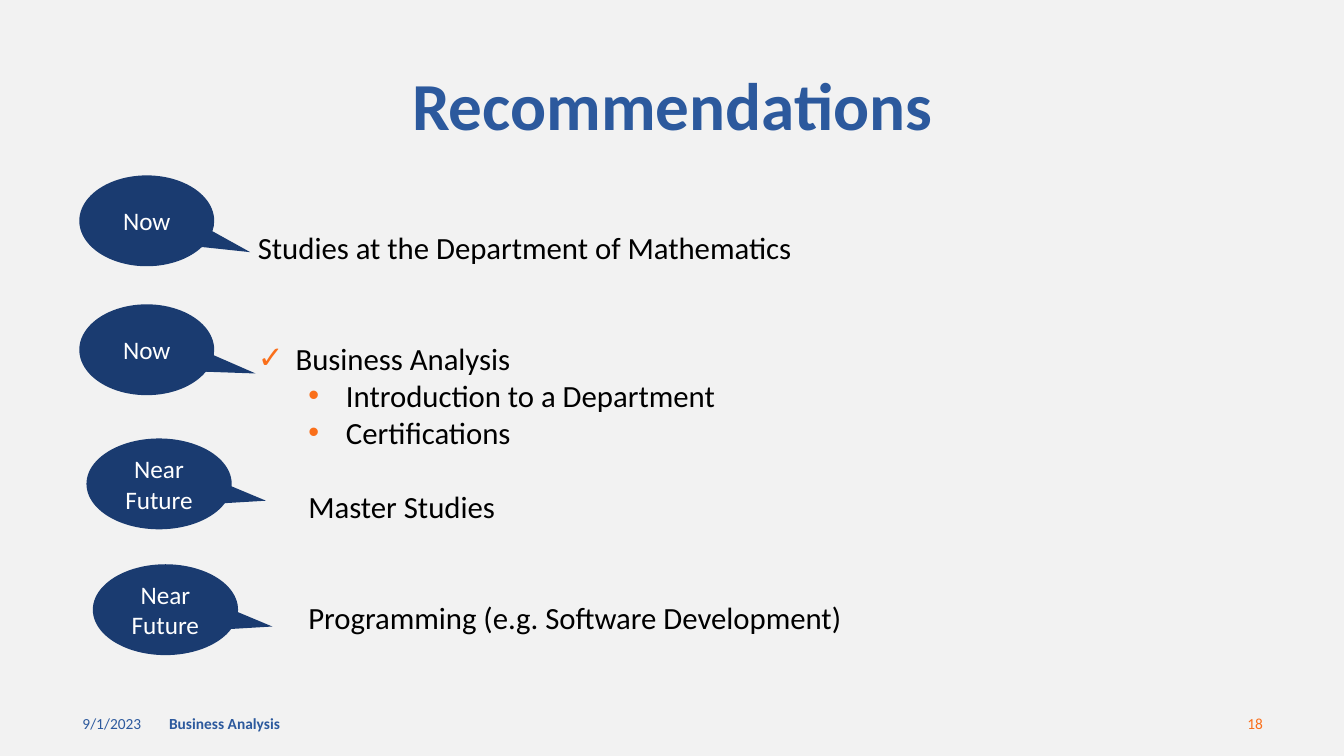
from lxml import etree
from pptx import Presentation
from pptx.dml.color import RGBColor
from pptx.enum.shapes import MSO_SHAPE
from pptx.enum.text import MSO_ANCHOR, PP_ALIGN
from pptx.oxml.ns import qn
from pptx.util import Cm, Pt

LEFT, MID, RIGHT, JUST = PP_ALIGN.LEFT, PP_ALIGN.CENTER, PP_ALIGN.RIGHT, PP_ALIGN.JUSTIFY
TOP, CENTER = MSO_ANCHOR.TOP, MSO_ANCHOR.MIDDLE
BUBBLE = MSO_SHAPE.OVAL_CALLOUT
PAPER = RGBColor(0xF2, 0xF2, 0xF2)
BLUE = RGBColor(0x2C, 0x59, 0x9D)
NAVY = RGBColor(0x1A, 0x3B, 0x70)
ORANGE = RGBColor(0xFA, 0x6F, 0x1A)
BLACK = RGBColor(0, 0, 0)
WHITE = RGBColor(0xFF, 0xFF, 0xFF)
FONT = "Calibri"
LINE = 26.4

TITLE = "Recommendations"
FOOTER = [
    ("9/1/2023", 1.83, 7.62, LEFT, BLUE, False),
    ("Business Analysis", 4.01, 11.43, LEFT, BLUE, True),
    ("18", 24.46, 7.62, RIGHT, ORANGE, False),
]
# text, level, left margin, hanging indent, bullet, lines of space before
ITEMS = [
    ("Studies at the Department of Mathematics", 1, 1.27, 0, None, 0),
    ("Business Analysis", 1, 2.22, -0.95, "✓", 2),
    ("Introduction to a Department", 2, 3.49, -0.95, "•", 0),
    ("Certifications", 2, 3.49, -0.95, "•", 0),
    ("Master Studies", 2, 2.54, 0, None, 1),
    ("Programming (e.g. Software Development)", 2, 2.54, 0, None, 2),
]
CALLS = [
    ("Now", 2, 4.42, 3.4, 0.767, 0.345),
    ("Now", 2, 7.67, 3.4, 0.807, 0.261),
    ("Near Future", 2.18, 11.05, 3.66, 0.736, 0.185),
    ("Near Future", 2.34, 14.22, 3.66, 0.736, 0.185),
]


def write(para, text, size=22, color=BLACK, bold=False, align=LEFT):
    para.alignment = align
    run = para.add_run()
    run.text = text
    font = run.font
    font.name, font.size, font.bold = FONT, Pt(size), bold
    font.color.rgb = color
    return para


def frame(shape, anchor=CENTER):
    body = shape.text_frame
    body.word_wrap = True
    body.vertical_anchor = anchor
    return body


def add_box(x, y, w, h, anchor=CENTER):
    return frame(slide.shapes.add_textbox(Cm(x), Cm(y), Cm(w), Cm(h)), anchor)


def indent(para, left, hang, mark):
    props = para._p.get_or_add_pPr()
    props.set("marL", str(Cm(left)))
    props.set("indent", str(Cm(hang)))
    if mark:
        tint = etree.SubElement(props, qn("a:buClr"))
        etree.SubElement(tint, qn("a:srgbClr"), val=str(ORANGE))
        etree.SubElement(props, qn("a:buFont"), typeface="Arial")
        etree.SubElement(props, qn("a:buChar"), char=mark)


deck = Presentation()
deck.slide_width, deck.slide_height = Cm(33.87), Cm(19.05)
slide = deck.slides.add_slide(deck.slide_layouts[6])
slide.background.fill.solid()
slide.background.fill.fore_color.rgb = PAPER

for text, x, w, align, color, bold in FOOTER:
    write(add_box(x, 17.73, w, 1.02).paragraphs[0], text,
          size=11, color=color, bold=bold, align=align)

head = write(add_box(2.34, 1.75, 29.21, 1.96).paragraphs[0], TITLE,
             size=48, color=BLUE, bold=True, align=MID)
head.line_spacing = 0.9

body = add_box(4.98, 5.64, 27.48, 10.5, TOP)
for i, (text, level, left, hang, mark, gap) in enumerate(ITEMS):
    para = body.add_paragraph() if i else body.paragraphs[0]
    para.level = level
    indent(para, left, hang, mark)
    para.line_spacing = Pt(LINE)
    if gap:
        para.space_before = Pt(gap * LINE)
    write(para, text, align=JUST)

for text, x, y, w, tip_x, tip_y in CALLS:
    call = slide.shapes.add_shape(BUBBLE, Cm(x), Cm(y), Cm(w), Cm(2.29))
    call.adjustments[0], call.adjustments[1] = tip_x, tip_y
    call.shadow.inherit = False
    call.fill.solid()
    call.fill.fore_color.rgb = NAVY
    call.line.fill.background()
    write(frame(call).paragraphs[0], text, size=18, color=WHITE, align=MID)

deck.save("out.pptx")
